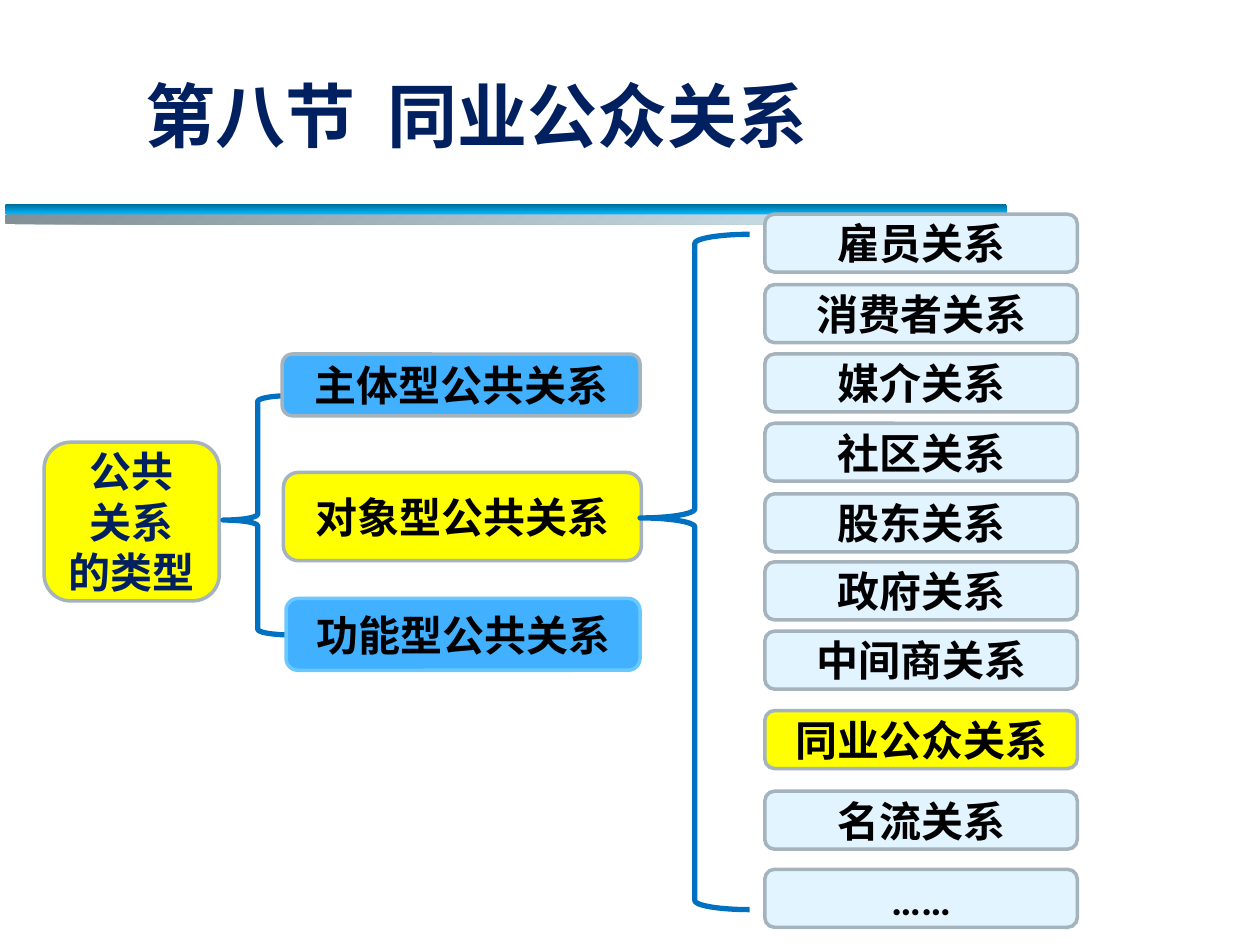
from lxml.etree import SubElement
from pptx import Presentation
from pptx.dml.color import RGBColor
from pptx.enum.shapes import MSO_SHAPE as Shape
from pptx.enum.text import MSO_ANCHOR as Anchor, PP_ALIGN as Align
from pptx.oxml.ns import qn
from pptx.util import Inches, Pt

COLORS = {
    "navy": "002060", "black": "000000", "yellow": "FFFF00",
    "pale": "E1F4FF", "blue": "40B0FF", "sky": "69C8FF",
    "gray": "A5B3BC", "brace": "0070C0",
    "shade_dark": "818F96", "shade_light": "DFF5FF",
    "bar_dark": "006A96", "bar_light": "00B8FF",
}
CJK_FONT, LATIN_FONT = "Noto Sans CJK SC", "Calibri"

# Relations with the top edge of each box
RELATIONS = [
    ("雇员关系", 1.7), ("消费者关系", 2.26), ("媒介关系", 2.81),
    ("社区关系", 3.36), ("股东关系", 3.92), ("政府关系", 4.46),
    ("中间商关系", 5.01), ("同业公众关系", 5.64), ("名流关系", 6.28),
    ("……", 6.9),
]
CURRENT_RELATION = "同业公众关系"


def rgb(name):
    return RGBColor.from_string(COLORS[name])


def add_preset(slide, kind, box):
    shape = slide.shapes.add_shape(kind, *map(Inches, box))
    shape.shadow.inherit = False
    return shape


def write(frame, text, size, color, font_name, align):
    frame.word_wrap = True
    frame.vertical_anchor = Anchor.MIDDLE
    frame.text = text
    for paragraph in frame.paragraphs:
        paragraph.alignment = align
        for run in paragraph.runs:
            font = run.font
            font.size, font.bold, font.name = Pt(size), True, font_name
            font.color.rgb = rgb(color)
            east_asian = SubElement(font._element, qn("a:ea"))
            east_asian.set("typeface", font_name)


def add_bar(slide, box, start, end, angle):
    bar = add_preset(slide, Shape.ROUNDED_RECTANGLE, box)
    bar.line.fill.background()
    bar.fill.gradient()
    bar.fill.gradient_angle = angle
    for stop, color in zip(bar.fill.gradient_stops, (start, end)):
        stop.color.rgb = rgb(color)


def add_node(slide, text, box, fill, line="gray", color="black", font=LATIN_FONT):
    node = add_preset(slide, Shape.ROUNDED_RECTANGLE, box)
    node.fill.solid()
    node.fill.fore_color.rgb = rgb(fill)
    node.line.color.rgb = rgb(line)
    node.line.width = Pt(2)
    write(node.text_frame, text, 24, color, font, Align.CENTER)


def add_brace(slide, box, tip):
    brace = add_preset(slide, Shape.LEFT_BRACE, box)
    brace.adjustments[1] = tip
    brace.fill.background()
    brace.line.color.rgb = rgb("brace")
    brace.line.width = Pt(3)


def main():
    prs = Presentation()
    prs.slide_width, prs.slide_height = Inches(10), Inches(7.5)
    slide = prs.slides.add_slide(prs.slide_layouts[6])

    # Title and the rule under it
    add_bar(slide, (0.04, 1.7, 8.35, 0.08), "shade_dark", "shade_light", 315)
    add_bar(slide, (0.04, 1.62, 7.95, 0.08), "bar_dark", "bar_light", 270)
    title = slide.shapes.add_textbox(*map(Inches, (1.06, 0.28, 8.66, 1.25)))
    write(title.text_frame, "第八节  同业公众关系", 40, "navy", CJK_FONT, Align.LEFT)

    # Root topic
    add_node(slide, "公共\n关系\n的类型", (0.35, 3.51, 1.39, 1.26), "yellow",
             color="navy", font=CJK_FONT)

    # Types of public relations
    add_brace(slide, (1.77, 3.14, 0.55, 1.9), 0.52)
    add_node(slide, "主体型公共关系", (2.24, 2.81, 2.84, 0.49), "blue")
    add_node(slide, "功能型公共关系", (2.27, 4.75, 2.81, 0.57), "blue", line="sky")
    add_node(slide, "对象型公共关系", (2.25, 3.75, 2.84, 0.7), "yellow")

    # Relations by public
    add_brace(slide, (5.08, 1.86, 0.87, 5.36), 0.42)
    for name, top in RELATIONS:
        fill = "yellow" if name == CURRENT_RELATION else "pale"
        add_node(slide, name, (6.07, top, 2.48, 0.46), fill)

    prs.save("out.pptx")


if __name__ == "__main__":
    main()
